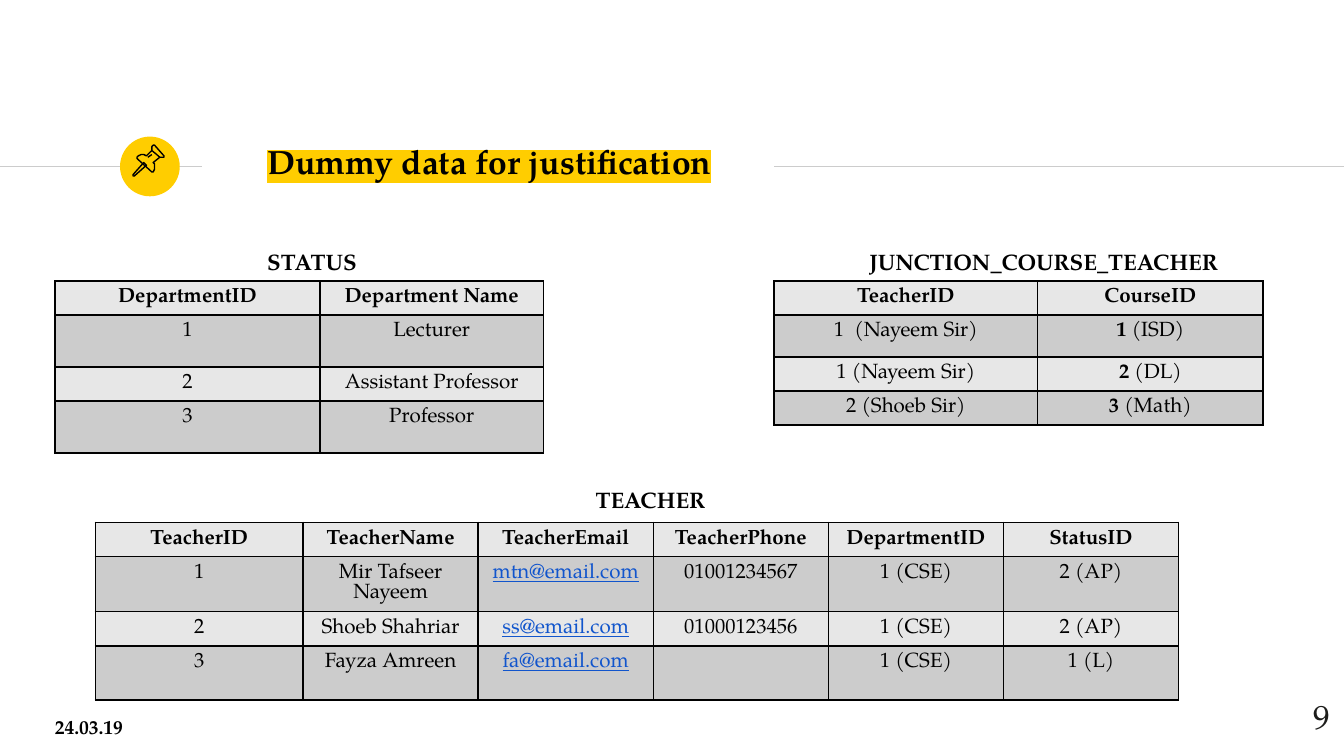
"""Build the slide of dummy data tables."""
from lxml import etree
from pptx import Presentation
from pptx.dml.color import RGBColor
from pptx.enum import shapes, text
from pptx.oxml import ns
from pptx.util import Pt

FACE = "TeX Gyre Pagella"
BLACK, GOLD, GREY = "000000", "FFCD00", "CCCCCC"
LIGHT, BLUE = "E7E7E7", "1155CC"
ALIGN = text.PP_ALIGN


def tint(color, code):
    color.rgb = RGBColor.from_string(code)


def style(run, size, bold=False, code=BLACK):
    run.font.name = FACE
    run.font.size = Pt(size)
    run.font.bold = bold
    tint(run.font.color, code)


deck = Presentation()
deck.slide_width, deck.slide_height = Pt(720), Pt(405)
slide = deck.slides.add_slide(deck.slide_layouts[6])

for start, end in [(0, 108), (414.72, 720)]:
    rule = slide.shapes.add_connector(
        shapes.MSO_CONNECTOR.STRAIGHT, Pt(start), Pt(89.28), Pt(end), Pt(89.28))
    tint(rule.line.color, GREY)
    rule.line.width = Pt(0.75)
    etree.SubElement(rule._element.spPr, ns.qn("a:effectLst"))

disc = slide.shapes.add_shape(
    shapes.MSO_SHAPE.OVAL, Pt(64.3), Pt(73.2), Pt(32), Pt(32))
disc.shadow.inherit = False
disc.fill.solid()
tint(disc.fill.fore_color, GOLD)
disc.line.fill.background()

needle = [(107, 121), (99, 130), (99, 131), (100, 131), (109, 123)]
head = [(113, 112), (119, 117), (120.5, 117.3), (122, 117), (122.3, 116),
        (115, 108.2), (114, 108), (113, 109), (112.7, 110.5)]
body = [(113, 112), (109, 116), (107, 115), (105, 115), (103, 116),
        (102, 117), (102.5, 117.5), (113, 128), (114, 128), (115, 126),
        (115.3, 124), (115, 122), (114.5, 121), (119, 117)]
glint = [(110, 117), (113, 115)]
pin = slide.shapes.add_group_shape()
for points, closed in [(needle, True), (head, True), (body, False), (glint, False)]:
    pen = pin.shapes.build_freeform(*points[0], scale=Pt(0.72))
    pen.add_line_segments(points[1:], close=closed)
    part = pen.convert_to_shape()
    part.shadow.inherit = False
    part.fill.background()
    tint(part.line.color, BLACK)
    part.line.width = Pt(0.75)

status = [
    ["DepartmentID", "Department Name"],
    ["1", "Lecturer"],
    ["2", "Assistant Professor"],
    ["3", "Professor"],
]
course = [
    ["TeacherID", "CourseID"],
    ["1  (Nayeem Sir)", "1| (ISD)"],
    ["1 (Nayeem Sir)", "2| (DL)"],
    ["2 (Shoeb Sir)", "3| (Math)"],
]
teacher = [
    ["TeacherID", "TeacherName", "TeacherEmail", "TeacherPhone",
     "DepartmentID", "StatusID"],
    ["1", "Mir Tafseer Nayeem", "mtn@email.com", "01001234567", "1 (CSE)", "2 (AP)"],
    ["2", "Shoeb Shahriar", "ss@email.com", "01000123456", "1 (CSE)", "2 (AP)"],
    ["3", "Fayza Amreen", "fa@email.com", "", "1 (CSE)", "1 (L)"],
]
tables = [
    (status, 29.5, 150.5, [142, 119.6], [18.2, 28, 18.2, 28]),
    (course, 414.7, 150.5, [141.2, 120.8], [18.2, 22.5, 18.2, 18.2]),
    (teacher, 51.1, 279.9, [111.3] + [93.8] * 5, [18.2, 29.6, 18.4, 18.2]),
]
for data, left, top, wides, highs in tables:
    grid = slide.shapes.add_table(
        len(data), len(wides), Pt(left), Pt(top), Pt(sum(wides)), Pt(sum(highs))).table
    for col, wide in zip(grid.columns, wides):
        col.width = Pt(wide)
    for i, (row, high) in enumerate(zip(data, highs)):
        grid.rows[i].height = Pt(high)
        for j, words in enumerate(row):
            cell = grid.cell(i, j)
            cell.margin_top = cell.margin_bottom = Pt(3.5)
            cell.fill.solid()
            tint(cell.fill.fore_color, GREY if i % 2 else LIGHT)
            for n, side in enumerate(["lnL", "lnR", "lnT", "lnB"]):
                edge = etree.Element(ns.qn("a:" + side), w=str(Pt(1)))
                fill = etree.SubElement(edge, ns.qn("a:solidFill"))
                etree.SubElement(fill, ns.qn("a:srgbClr"), val=BLACK)
                cell._tc.get_or_add_tcPr().insert(n, edge)
            para = cell.text_frame.paragraphs[0]
            para.alignment = ALIGN.CENTER
            para.line_spacing = Pt(11.2)
            bits = words.split("|") if words else []
            for n, bit in enumerate(bits):
                run = para.add_run()
                run.text = bit
                mail = "@" in bit
                style(run, 11, i == 0 or n < len(bits) - 1, BLUE if mail else BLACK)
                if mail:
                    run.font.underline = True

MID, TOP = text.MSO_ANCHOR.MIDDLE, text.MSO_ANCHOR.TOP
labels = [
    ("Dummy data for justification", 136.1, 68.4, 269.3, 35.3, 18, True, BLACK, ALIGN.LEFT, MID),
    ("9", 676.8, 365.8, 43.2, 31, 18, False, "1D1D1B", ALIGN.RIGHT, TOP),
    ("STATUS", 136.1, 122.4, 100.8, 35.3, 12, True, BLACK, ALIGN.LEFT, MID),
    ("JUNCTION_COURSE_TEACHER", 458.6, 132.1, 207.4, 15.8, 12, True, BLACK, ALIGN.LEFT, MID),
    ("TEACHER", 232.6, 249.8, 231.8, 35.3, 12, True, BLACK, ALIGN.CENTER, MID),
    ("24.03.19", 22.3, 383.8, 57.6, 10.8, 10.5, True, BLACK, ALIGN.LEFT, MID),
]
for words, left, top, wide, high, size, bold, code, align, anchor in labels:
    box = slide.shapes.add_textbox(Pt(left), Pt(top), Pt(wide), Pt(high))
    frame = box.text_frame
    frame.word_wrap = True
    frame.vertical_anchor = anchor
    frame.margin_left = frame.margin_right = Pt(7.2)
    frame.margin_top = frame.margin_bottom = Pt(7.2)
    frame.text = words
    para = frame.paragraphs[0]
    para.alignment = align
    run = para.runs[0]
    style(run, size, bold, code)
    if words.startswith("Dummy"):
        mark = etree.Element(ns.qn("a:highlight"))
        etree.SubElement(mark, ns.qn("a:srgbClr"), val=GOLD)
        run._r.rPr.find(ns.qn("a:solidFill")).addnext(mark)

deck.save("out.pptx")
